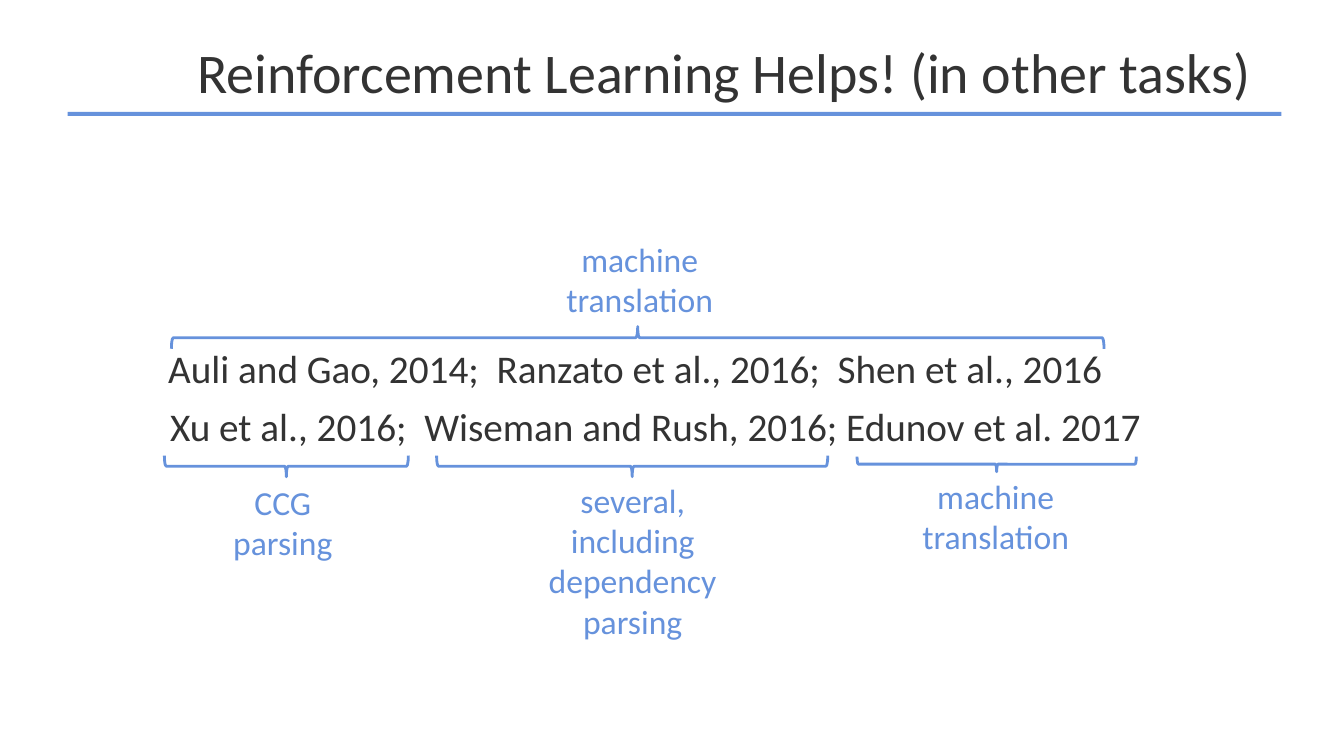
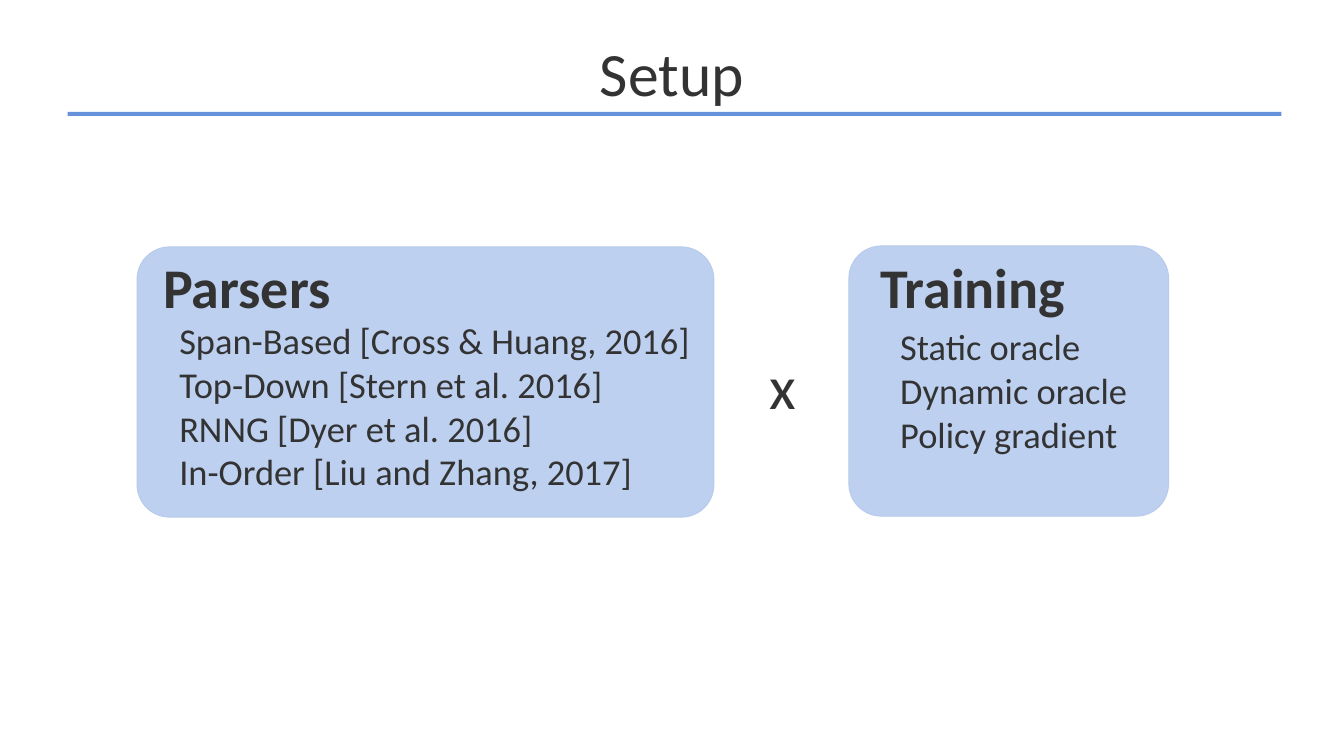
from dataclasses import dataclass

from pptx import Presentation
from pptx.dml.color import RGBColor
from pptx.enum import shapes, text
from pptx.util import Inches, Pt


@dataclass(frozen=True)
class Theme:
    font: str = "Calibri"
    ink: RGBColor = RGBColor(0x33, 0x33, 0x33)
    accent: RGBColor = RGBColor(0x66, 0x92, 0xDC)
    panel: RGBColor = RGBColor(0xBD, 0xD0, 0xF0)
    panel_edge: RGBColor = RGBColor(0xB8, 0xCB, 0xEC)
    title: int = 44
    long_title: int = 40
    heading: int = 40
    citation: int = 28
    item: int = 26
    label: int = 24


@dataclass(frozen=True)
class Area:
    left: float
    top: float
    width: float
    height: float

    def lengths(self):
        return [Inches(n) for n in (self.left, self.top, self.width, self.height)]


@dataclass(frozen=True)
class Brace:
    """A horizontal brace, its label, and the side its tip points to."""
    area: Area
    label: str
    label_area: Area
    points_up: bool = False


@dataclass(frozen=True)
class Panel:
    area: Area
    heading: str
    heading_area: Area
    items: tuple[str, ...]
    items_area: Area


THEME = Theme()
WIDTH, HEIGHT = 13.33, 7.5
RULE = Area(0.67, 1.11, 12.04, 0.04)

CITATIONS = (
    ("Auli and Gao, 2014;  Ranzato et al., 2016;  Shen et al., 2016",
     Area(1.57, 3.37, 9.64, 0.57)),
    ("Xu et al., 2016;  Wiseman and Rush, 2016; Edunov et al. 2017",
     Area(1.59, 3.94, 10.77, 0.57)),
)
BRACES = (
    Brace(Area(1.7, 3.24, 9.25, 0.22), "machine translation",
          Area(5.4, 2.32, 1.89, 0.91), points_up=True),
    Brace(Area(1.63, 4.52, 2.42, 0.21), "CCG parsing",
          Area(2.09, 4.73, 1.43, 0.91)),
    Brace(Area(4.33, 4.52, 3.88, 0.21), "several, including dependency parsing",
          Area(5.33, 4.71, 1.89, 1.72)),
    Brace(Area(8.5, 4.53, 2.77, 0.15), "machine translation",
          Area(8.93, 4.67, 1.89, 0.91)),
)
PANELS = (
    Panel(Area(1.36, 2.45, 5.72, 2.68),
          "Parsers", Area(1.52, 2.46, 1.89, 0.77),
          ("Span-Based [Cross & Huang, 2016]", "Top-Down [Stern et al. 2016]",
           "RNNG [Dyer et al. 2016]", "In-Order [Liu and Zhang, 2017]"),
          Area(1.68, 3.11, 5.4, 1.85)),
    Panel(Area(8.42, 2.44, 3.17, 2.68),
          "Training", Area(8.63, 2.46, 2.28, 0.77),
          ("Static oracle", "Dynamic oracle", "Policy gradient"),
          Area(8.83, 3.17, 2.58, 1.41)),
)


def write(frame, *lines: str, size: int, color: RGBColor = THEME.ink,
          bold: bool = False, centered: bool = False, wrap: bool = True) -> None:
    """Fill a text frame with one paragraph per line."""
    frame.word_wrap = wrap
    for index, line in enumerate(lines):
        para = frame.add_paragraph() if index else frame.paragraphs[0]
        para.alignment = text.PP_ALIGN.CENTER if centered else text.PP_ALIGN.LEFT
        span = para.add_run()
        span.text = line
        span.font.name = THEME.font
        span.font.size = Pt(size)
        span.font.bold = bold
        span.font.color.rgb = color


def add_text(page, area: Area, *lines: str, **text_format) -> None:
    box = page.shapes.add_textbox(*area.lengths())
    write(box.text_frame, *lines, **text_format)


def add_filled(page, kind, area: Area, fill: RGBColor):
    shape = page.shapes.add_shape(kind, *area.lengths())
    shape.shadow.inherit = False
    shape.fill.solid()
    shape.fill.fore_color.rgb = fill
    shape.line.fill.background()
    return shape


def add_page(deck, title: str, size: int, area: Area):
    page = deck.slides.add_slide(deck.slide_layouts.get_by_name("Title Only"))
    box = page.shapes.title
    box.left, box.top, box.width, box.height = area.lengths()
    frame = box.text_frame
    frame.auto_size = text.MSO_AUTO_SIZE.NONE
    frame.vertical_anchor = text.MSO_ANCHOR.MIDDLE
    write(frame, title, size=size, centered=True)
    return page


def share_rule(page) -> None:
    """Put the line under the title on the layout, so every page shows it."""
    rule = add_filled(page, shapes.MSO_SHAPE.RECTANGLE, RULE, THEME.accent)
    page.slide_layout.shapes.element.append(rule.element)


def add_brace(page, brace: Brace) -> None:
    area = brace.area
    # The preset stands upright, so it is turned about the centre of its area.
    upright = Area(area.left + (area.width - area.height) / 2,
                   area.top + (area.height - area.width) / 2,
                   area.height, area.width)
    shape = page.shapes.add_shape(shapes.MSO_SHAPE.RIGHT_BRACE, *upright.lengths())
    shape.shadow.inherit = False
    shape.rotation = 270 if brace.points_up else 90
    shape.fill.background()
    shape.line.color.rgb = THEME.accent
    shape.line.width = Pt(2)
    add_text(page, brace.label_area, brace.label,
             size=THEME.label, color=THEME.accent, centered=True)


def add_panel(page, panel: Panel) -> None:
    shape = add_filled(page, shapes.MSO_SHAPE.ROUNDED_RECTANGLE, panel.area, THEME.panel)
    shape.adjustments[0] = 0.12
    shape.line.color.rgb = THEME.panel_edge
    shape.line.width = Pt(0.75)
    add_text(page, panel.heading_area, panel.heading, size=THEME.heading, bold=True)
    add_text(page, panel.items_area, *panel.items, size=THEME.item)


def add_related_work(deck):
    page = add_page(deck, "Reinforcement Learning Helps! (in other tasks)",
                    THEME.long_title, Area(1.03, 0.16, 12.3, 1.1))
    for citation, area in CITATIONS:
        add_text(page, area, citation, size=THEME.citation)
    for brace in BRACES:
        add_brace(page, brace)
    return page


def add_setup(deck) -> None:
    page = add_page(deck, "Setup", THEME.title, Area(0, 0.16, WIDTH, 1.1))
    for panel in PANELS:
        add_panel(page, panel)
    add_text(page, Area(7.53, 3.4, 0.47, 0.84), "x", size=THEME.title, wrap=False)


def main() -> None:
    deck = Presentation()
    deck.slide_width, deck.slide_height = Inches(WIDTH), Inches(HEIGHT)
    share_rule(add_related_work(deck))
    add_setup(deck)
    deck.save("out.pptx")


if __name__ == "__main__":
    main()
